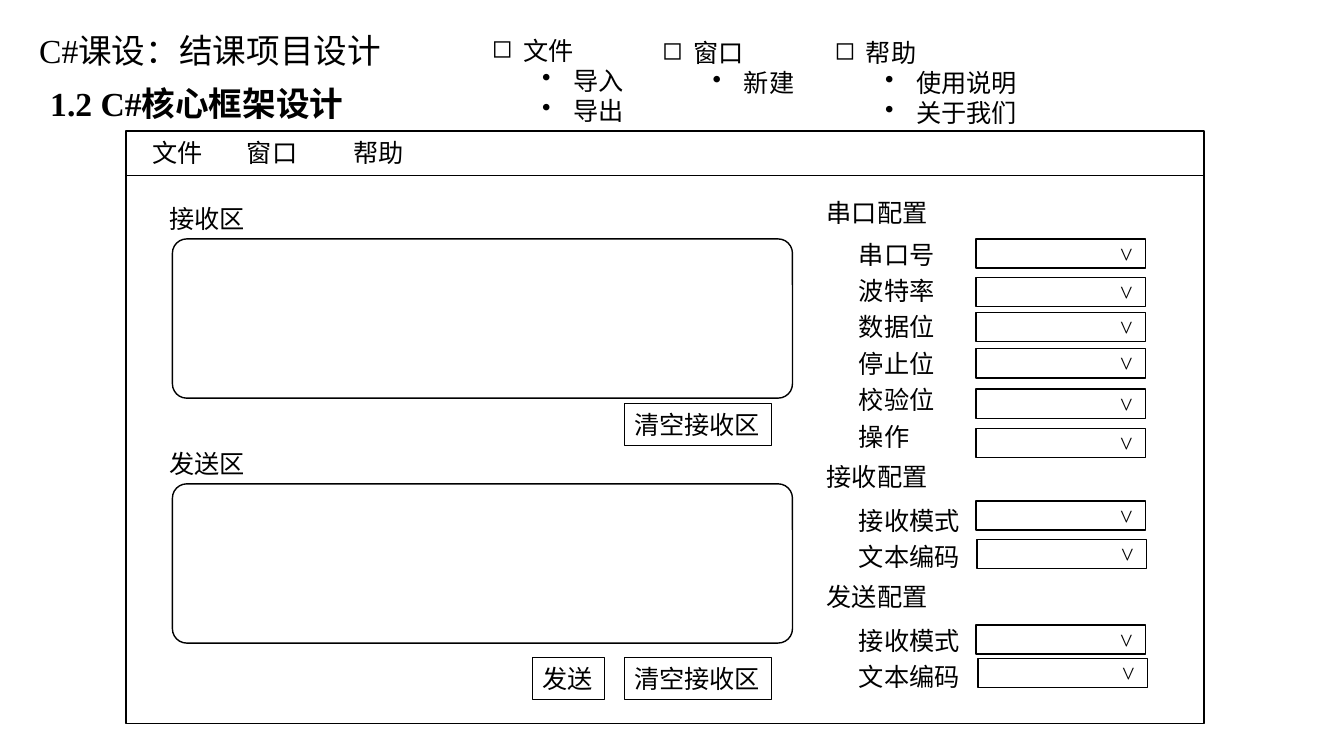
"""Build the wireframe slide of a serial port tool's main window."""
from dataclasses import dataclass

from pptx import Presentation
from pptx import util as u
from pptx.dml.color import RGBColor
from pptx.enum import shapes, text
from pptx.oxml.ns import qn
from lxml import etree

BLACK = RGBColor(0x00, 0x00, 0x00)
FONT = "Times New Roman"
BODY_SIZE = 18


@dataclass(frozen=True)
class Box:
    left: float
    top: float
    width: float
    height: float

    def lengths(self) -> tuple:
        return tuple(u.Inches(n) for n in (self.left, self.top, self.width, self.height))


@dataclass(frozen=True)
class Label:
    box: Box
    lines: tuple[str, ...]
    size: int = BODY_SIZE
    bold: bool = False
    spacing: float | None = None


@dataclass(frozen=True)
class Menu:
    box: Box
    title: str
    items: tuple[str, ...]


@dataclass(frozen=True)
class Dropdown:
    left: float
    top: float


WINDOW = Box(1.25, 1.3, 10.69, 5.88)
MENU_BAR_BOTTOM = 1.74
MENU_BAR = Label(Box(1.41, 1.31, 10.1, 0.4), ("文件\t窗口\t帮助",))
MENU_TABS = (0.94, 2.0)
ROW_SPACING = 26

LABELS = (
    Label(Box(0.29, 0.25, 3.75, 0.5), ("C#课设：结课项目设计",), 24),
    Label(Box(0.4, 0.77, 6.44, 0.5), ("1.2 C#核心框架设计",), 24, True),
    Label(Box(1.58, 1.97, 2.16, 0.4), ("接收区",)),
    Label(Box(1.58, 4.4, 2.16, 0.4), ("发送区",)),
    Label(Box(8.1, 1.91, 2.22, 0.4), ("串口配置",)),
    Label(Box(8.42, 2.26, 1.12, 2.27),
          ("串口号", "波特率", "数据位", "停止位", "校验位", "操作"), spacing=ROW_SPACING),
    Label(Box(8.1, 4.53, 2.22, 0.4), ("接收配置",)),
    Label(Box(8.42, 4.9, 1.34, 0.81), ("接收模式", "文本编码"), spacing=ROW_SPACING),
    Label(Box(8.1, 5.72, 2.22, 0.4), ("发送配置",)),
    Label(Box(8.42, 6.09, 1.34, 0.81), ("接收模式", "文本编码"), spacing=ROW_SPACING),
)
TEXT_AREAS = (Box(1.71, 2.37, 6.15, 1.58), Box(1.71, 4.8, 6.15, 1.58))
BUTTONS = (
    Label(Box(6.19, 4, 1.46, 0.42), ("清空接收区",)),
    Label(Box(6.19, 6.52, 1.46, 0.42), ("清空接收区",)),
    Label(Box(5.28, 6.52, 0.72, 0.42), ("发送",)),
)
DROPDOWNS = (
    *(Dropdown(9.68, top) for top in (2.37, 2.75, 3.1, 3.46, 3.86, 4.25, 4.97, 6.2)),
    Dropdown(9.69, 5.35),
    Dropdown(9.7, 6.53),
)
MENUS = (
    Menu(Box(4.78, 0.3, 3.03, 1.31), "文件", ("导入", "导出")),
    Menu(Box(6.47, 0.32, 6.67, 0.71), "窗口", ("新建",)),
    Menu(Box(8.18, 0.32, 4.22, 1.01), "帮助", ("使用说明", "关于我们")),
)


def add_outline(parent, kind, box: Box, weight: float = 1):
    """Add an unfilled shape with a black outline."""
    shape = parent.add_shape(kind, *box.lengths())
    shape.shadow.inherit = False
    shape.fill.background()
    shape.line.color.rgb = BLACK
    shape.line.width = u.Pt(weight)
    return shape


def write_lines(shape, label: Label) -> list:
    """Write the label's lines into a shape and return the paragraphs."""
    frame = shape.text_frame
    frame.auto_size = text.MSO_AUTO_SIZE.SHAPE_TO_FIT_TEXT
    paragraphs = []
    for index, line in enumerate(label.lines):
        paragraph = frame.add_paragraph() if index else frame.paragraphs[0]
        if label.spacing:
            paragraph.line_spacing = u.Pt(label.spacing)
        run = paragraph.add_run()
        run.text = line
        run.font.name = FONT
        run.font.size = u.Pt(label.size)
        run.font.bold = label.bold
        run.font.color.rgb = BLACK
        paragraphs.append(paragraph)
    return paragraphs


def add_label(parent, label: Label) -> tuple:
    """Add a wrapping text box and return it with its paragraphs."""
    shape = parent.add_textbox(*label.box.lengths())
    shape.text_frame.word_wrap = True
    return shape, write_lines(shape, label)


def add_menu_bar(parent) -> None:
    """Add the menu bar's rule and its tabbed titles."""
    rule = parent.add_connector(
        shapes.MSO_CONNECTOR.STRAIGHT, u.Inches(WINDOW.left), u.Inches(MENU_BAR_BOTTOM),
        u.Inches(WINDOW.left + WINDOW.width), u.Inches(MENU_BAR_BOTTOM))
    rule.line.color.rgb = BLACK
    rule.line.width = u.Pt(1)
    etree.SubElement(rule._element.spPr, qn("a:effectLst"))
    _, paragraphs = add_label(parent, MENU_BAR)
    stops = etree.SubElement(paragraphs[0]._p.get_or_add_pPr(), qn("a:tabLst"))
    for position in MENU_TABS:
        etree.SubElement(stops, qn("a:tab"), pos=str(u.Inches(position)), algn="l")


def add_button(parent, label: Label) -> None:
    """Add an outlined button with its caption."""
    shape = add_outline(parent, shapes.MSO_SHAPE.RECTANGLE, label.box, 0.75)
    shape.text_frame.word_wrap = False
    for paragraph in write_lines(shape, label):
        paragraph.alignment = text.PP_ALIGN.LEFT


def add_dropdown(parent, dropdown: Dropdown) -> None:
    """Add a grouped field with a downward caret."""
    group = parent.add_group_shape().shapes
    left, top = dropdown.left, dropdown.top
    add_outline(group, shapes.MSO_SHAPE.RECTANGLE, Box(left, top, 1.68, 0.29))
    caret, _ = add_label(group, Label(Box(left + 1.09, top - 0.05, 0.56, 0.4), ("^",)))
    caret.rotation = 180


def add_menu(parent, menu: Menu) -> None:
    """Add a menu title with its bulleted items."""
    _, paragraphs = add_label(parent, Label(menu.box, (menu.title, *menu.items)))
    for index, paragraph in enumerate(paragraphs):
        level, margin, bullet = (1, 0.81, "•") if index else (0, 0.31, "◻")
        paragraph.level = level
        properties = paragraph._p.get_or_add_pPr()
        properties.set("marL", str(u.Inches(margin)))
        properties.set("indent", str(u.Inches(-0.31)))
        etree.SubElement(properties, qn("a:buChar"), char=bullet)


def main() -> None:
    """Build and save the slide."""
    presentation = Presentation()
    presentation.slide_width = u.Inches(13.33)
    presentation.slide_height = u.Inches(7.5)
    slide = presentation.slides.add_slide(presentation.slide_layouts[6])
    canvas = slide.shapes
    add_outline(canvas, shapes.MSO_SHAPE.RECTANGLE, WINDOW)
    add_menu_bar(canvas)
    for label in LABELS:
        add_label(canvas, label)
    for area in TEXT_AREAS:
        shape = add_outline(canvas, shapes.MSO_SHAPE.ROUNDED_RECTANGLE, area)
        shape.adjustments[0] = 0.09
    for button in BUTTONS:
        add_button(canvas, button)
    for dropdown in DROPDOWNS:
        add_dropdown(canvas, dropdown)
    for menu in MENUS:
        add_menu(canvas, menu)
    presentation.save("out.pptx")


if __name__ == "__main__":
    main()
